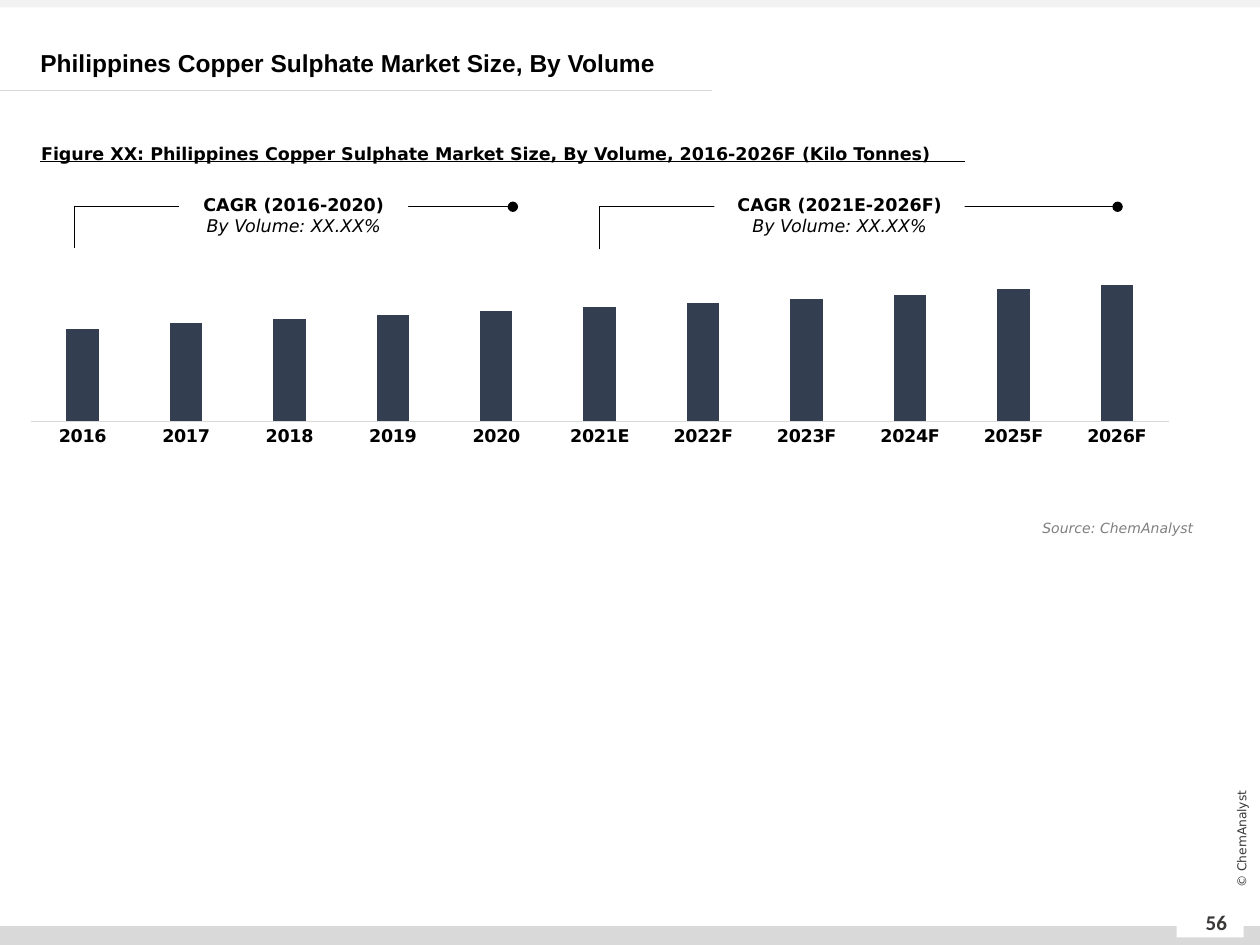
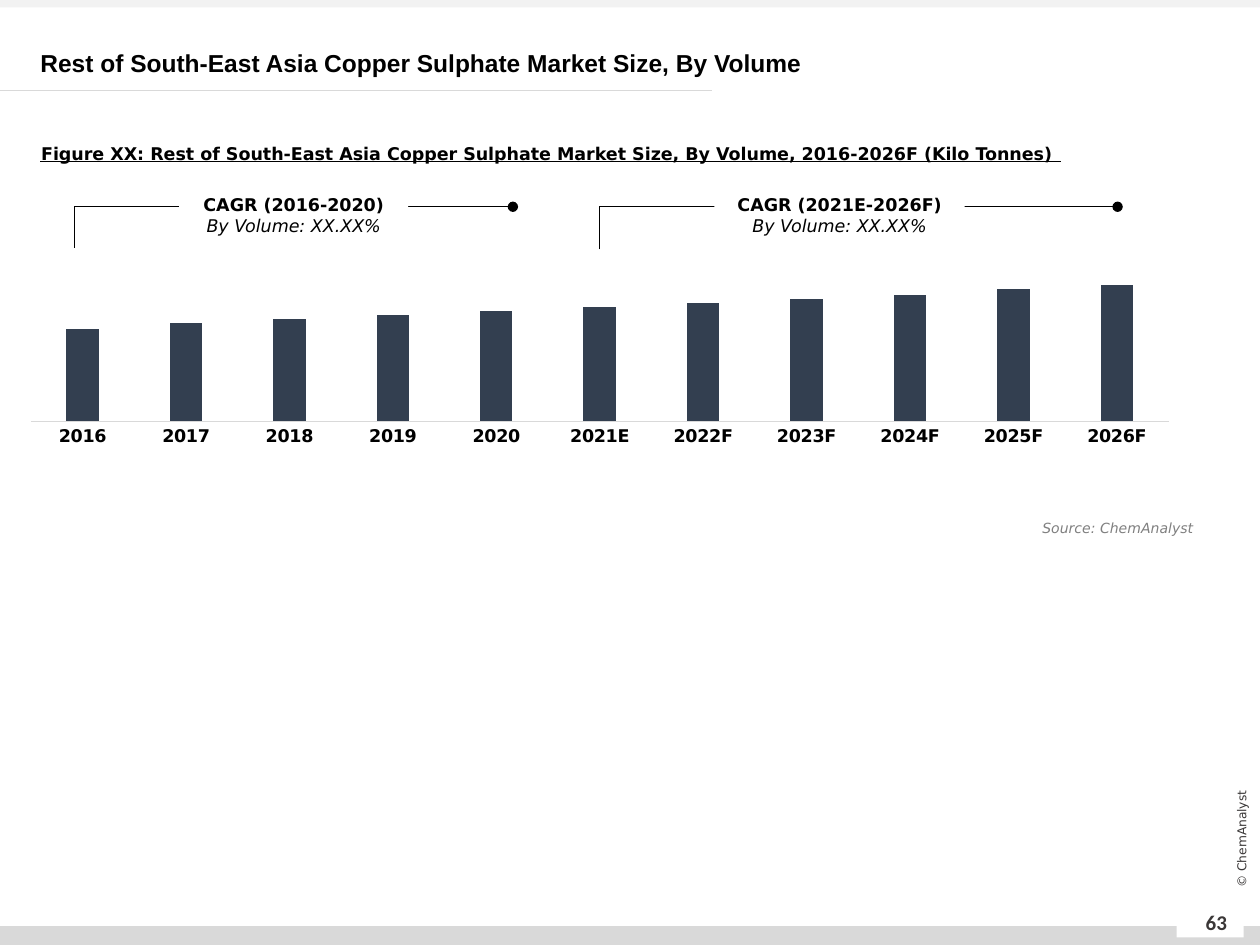
"""Build the two copper sulphate market size slides."""
from lxml import etree
from pptx import Presentation
from pptx.chart import data
from pptx.dml import color
from pptx.enum import chart as charts, shapes, text
from pptx.oxml import ns
from pptx.util import Cm, Pt

BLACK, WHITE, BAR, AXIS = "000000", "FFFFFF", "333F50", "D9D9D9"
TOP_BAND, FOOTER_INK, SOURCE_INK = "F2F2F2", "3B3838", "808080"
BODY = "DejaVu Sans"
CENTER = text.PP_ALIGN.CENTER
MIDDLE = text.MSO_ANCHOR.MIDDLE
GROW = text.MSO_AUTO_SIZE.SHAPE_TO_FIT_TEXT

FIGURE_TEXT = {"name": BODY, "size": Pt(10), "bold": True}
PERIOD_TEXT = {"name": BODY, "size": Pt(10), "bold": True}
RATE_TEXT = {"name": BODY, "size": Pt(10), "bold": False, "italic": True}
TITLE_TEXT = {"name": "Arial", "size": Pt(14), "bold": True}
SOURCE_TEXT = {"name": BODY, "size": Pt(8), "italic": True}
PAGE_TEXT = {"name": "Calibri", "size": Pt(12), "bold": True}
COPYRIGHT_TEXT = {"name": BODY, "size": Pt(7)}

YEARS = ["2016", "2017", "2018", "2019", "2020", "2021E",
         "2022F", "2023F", "2024F", "2025F", "2026F"]
VOLUMES = [68, 72, 75, 78, 81, 84, 87, 90, 93, 97, 100]
PLOT_AREA = {"x": 0, "y": 0.16, "w": 1, "h": 0.584}

PERIODS = [
    ("CAGR (2021E-2026F)", (12.09, 5.03, 22.53, 4.17), (14.4, 3.61, 5.05, 1.45)),
    ("CAGR (2016-2020)", (1.5, 5.0, 10.34, 4.17), (3.61, 3.61, 4.62, 1.45)),
]
REGIONS = [("Philippines", "56", 19.46), ("Rest of South-East Asia", "63", 21.39)]


def rgb(hex_code):
    """Turn a hex string into a colour."""
    return color.RGBColor.from_string(hex_code)


def cm(*lengths):
    """Turn numbers into centimetre lengths."""
    return [Cm(length) for length in lengths]


def apply(target, values):
    """Set every attribute in a dict of format values."""
    for attribute, value in values.items():
        setattr(target, attribute, value)


def style_font(font, values, ink):
    """Format a font and colour it."""
    apply(font, values)
    font.color.rgb = rgb(ink)


def write(frame, lines, ink=BLACK, frame_format=None, paragraph_format=None):
    """Fill a text frame with (wording, font format) lines."""
    apply(frame, {"word_wrap": True, **(frame_format or {})})
    for index, (wording, font_format) in enumerate(lines):
        paragraph = frame.add_paragraph() if index else frame.paragraphs[0]
        apply(paragraph, paragraph_format or {})
        run = paragraph.add_run()
        run.text = wording
        style_font(run.font, font_format, ink)


def add_text(slide, place, *args, **formats):
    """Add a text box and return it."""
    box = slide.shapes.add_textbox(*cm(*place))
    write(box.text_frame, *args, **formats)
    return box


def add_band(slide, place, fill):
    """Add a plain filled rectangle."""
    band = slide.shapes.add_shape(shapes.MSO_SHAPE.RECTANGLE, *cm(*place))
    band.shadow.inherit = False
    band.fill.solid()
    band.fill.fore_color.rgb = rgb(fill)
    band.line.fill.background()
    return band


def add_line(slide, ends, ink=BLACK, kind=shapes.MSO_CONNECTOR.STRAIGHT):
    """Add a thin connector without shadow."""
    line = slide.shapes.add_connector(kind, *cm(*ends))
    line.line.color.rgb = rgb(ink)
    line.line.width = Pt(0.5)
    etree.SubElement(line.element.spPr, ns.qn("a:effectLst"))
    return line


def add_period(slide, period, ends, label_place):
    """Add a growth bracket with a dot at its end and its label."""
    bracket = add_line(slide, ends, kind=shapes.MSO_CONNECTOR.ELBOW)
    properties = bracket.element.spPr
    geometry = properties.find(ns.qn("a:prstGeom"))
    guides = geometry.find(ns.qn("a:avLst"))
    if guides is None:
        guides = etree.SubElement(geometry, ns.qn("a:avLst"))
    etree.SubElement(guides, ns.qn("a:gd"), name="adj1", fmla="val 0")
    outline = properties.find(ns.qn("a:ln"))
    etree.SubElement(outline, ns.qn("a:tailEnd"), type="oval")
    label = add_band(slide, label_place, WHITE)
    write(label.text_frame,
          [(period, PERIOD_TEXT), ("By Volume: XX.XX%", RATE_TEXT)],
          frame_format={"vertical_anchor": MIDDLE},
          paragraph_format={"alignment": CENTER})


def set_plot_area(chart):
    """Fix the inner plot area within the chart."""
    plot_area = chart.element.chart.plotArea
    layout = plot_area.find(ns.qn("c:layout"))
    if layout is None:
        layout = etree.Element(ns.qn("c:layout"))
        plot_area.insert(0, layout)
    manual = etree.SubElement(layout, ns.qn("c:manualLayout"))
    settings = {"layoutTarget": "inner", "xMode": "edge", "yMode": "edge", **PLOT_AREA}
    for tag, value in settings.items():
        etree.SubElement(manual, ns.qn(f"c:{tag}"), val=str(value))


def add_volume_chart(slide):
    """Add the column chart of yearly volumes."""
    volumes = data.CategoryChartData(number_format="0.00")
    volumes.categories = YEARS
    volumes.add_series("Series 1", VOLUMES)
    chart = slide.shapes.add_chart(charts.XL_CHART_TYPE.COLUMN_CLUSTERED,
                                   *cm(0.61, 4.57, 22.96, 5.28), volumes).chart
    apply(chart, {"has_legend": False, "has_title": False})
    style_font(chart.font, {"name": BODY, "size": Pt(10)}, BLACK)
    columns = chart.plots[0]
    apply(columns, {"gap_width": 219, "overlap": -27, "vary_by_categories": False})
    columns.series[0].format.fill.solid()
    columns.series[0].format.fill.fore_color.rgb = rgb(BAR)
    apply(chart.value_axis, {"visible": False, "has_major_gridlines": False,
                             "minimum_scale": 0, "maximum_scale": 112})
    years = chart.category_axis
    years.major_tick_mark = charts.XL_TICK_MARK.NONE
    years.format.line.color.rgb = rgb(AXIS)
    years.format.line.width = Pt(0.75)
    style_font(years.tick_labels.font, FIGURE_TEXT, BLACK)
    set_plot_area(chart)


def add_frame(slide, page):
    """Add the bands, title rule, page number and copyright."""
    add_band(slide, (0, 18.67, 25.4, 0.38), AXIS)
    add_band(slide, (0, 0, 25.4, 0.15), TOP_BAND)
    add_band(slide, (23.72, 18.34, 1.35, 0.56), WHITE)
    add_line(slide, (0, 1.83, 14.35, 1.83), AXIS)
    footer = {"ink": FOOTER_INK, "frame_format": {"vertical_anchor": MIDDLE},
              "paragraph_format": {"alignment": CENTER}}
    add_text(slide, (23.9, 18.08, 1.24, 1.02), [(page, PAGE_TEXT)], **footer)
    notice = add_text(slide, (23.5, 16.71, 3.05, 0.41),
                      [("© ChemAnalyst", COPYRIGHT_TEXT)], **footer)
    notice.rotation = 270


def set_title(slide, wording):
    """Place and format the title placeholder."""
    title = slide.shapes.title
    left, top, width, height = cm(0.56, 0.86, 24.79, 0.81)
    apply(title, {"left": left, "top": top, "width": width, "height": height})
    write(title.text_frame, [(wording, TITLE_TEXT)],
          frame_format={"vertical_anchor": MIDDLE, "auto_size": GROW},
          paragraph_format={"alignment": text.PP_ALIGN.LEFT, "line_spacing": Pt(17),
                            "space_before": Pt(0)})


def add_market_slide(deck, region, page, rule_end):
    """Add the market size slide of one region."""
    slide = deck.slides.add_slide(deck.slide_layouts[5])
    heading = f"{region} Copper Sulphate Market Size, By Volume"
    add_frame(slide, page)
    set_title(slide, heading)
    add_volume_chart(slide)
    for period in PERIODS:
        add_period(slide, *period)
    add_text(slide, (0.58, 2.54, 22.4, 0.81),
             [(f"Figure XX: {heading}, 2016-2026F (Kilo Tonnes)", FIGURE_TEXT)],
             frame_format={"auto_size": GROW}, paragraph_format={"line_spacing": 1.5})
    add_line(slide, (0.81, 3.25, rule_end, 3.25))
    add_text(slide, (18.19, 10.34, 6.12, 0.61),
             [("Source: ChemAnalyst", SOURCE_TEXT)], ink=SOURCE_INK,
             frame_format={"auto_size": GROW},
             paragraph_format={"alignment": text.PP_ALIGN.RIGHT})


def main():
    """Build and save the deck."""
    deck = Presentation()
    deck.slide_width, deck.slide_height = cm(25.4, 19.05)
    for region in REGIONS:
        add_market_slide(deck, *region)
    deck.save("out.pptx")


if __name__ == "__main__":
    main()
